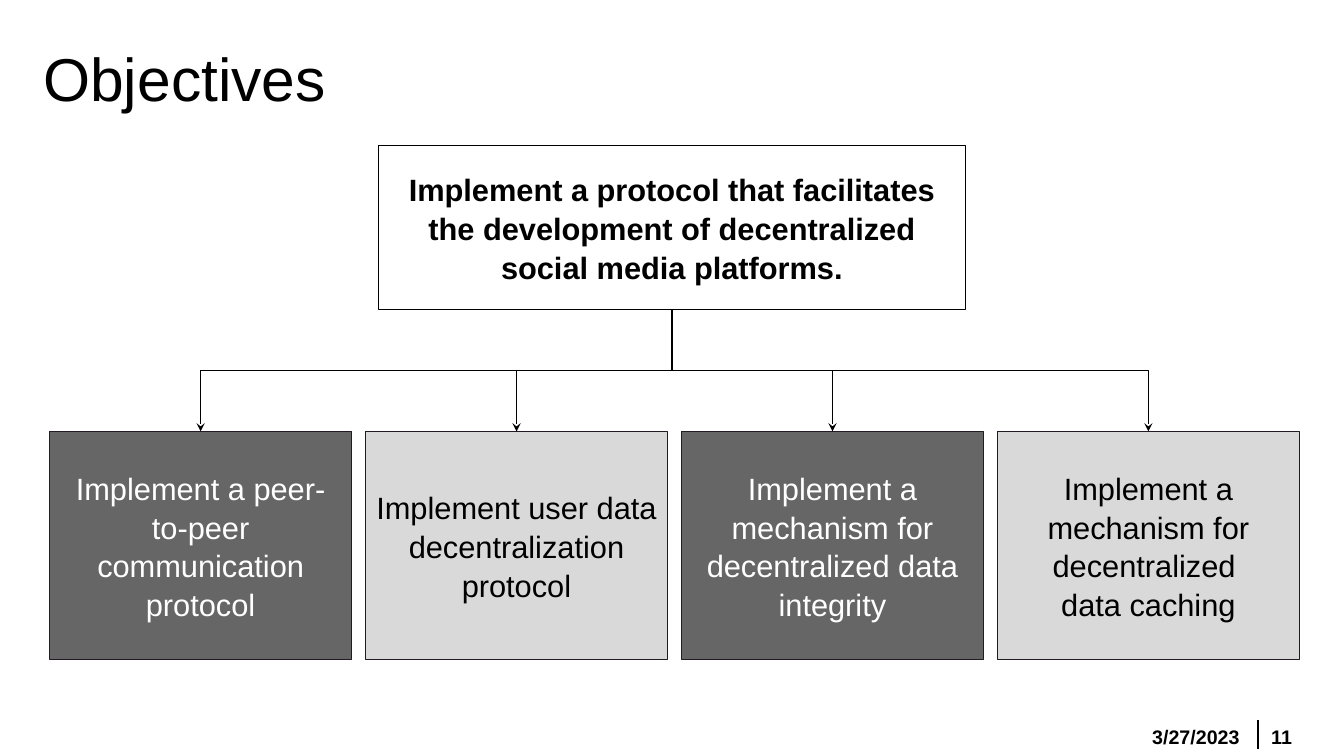
from lxml import etree
from pptx import Presentation
from pptx.dml.color import RGBColor
from pptx.enum.shapes import MSO_CONNECTOR, MSO_SHAPE
from pptx.enum.text import MSO_ANCHOR, MSO_AUTO_SIZE, PP_ALIGN
from pptx.oxml.ns import qn
from pptx.util import Inches, Pt

BLACK = RGBColor(0x00, 0x00, 0x00)
WHITE = RGBColor(0xFF, 0xFF, 0xFF)
DARK_GREY = RGBColor(0x66, 0x66, 0x66)
LIGHT_GREY = RGBColor(0xD9, 0xD9, 0xD9)
OUTLINE = RGBColor(0x23, 0x1B, 0x23)

# Grid of the four objective boxes, in inches
GRID_LEFT, GRID_TOP = 0.49, 4.28
COLUMN_WIDTH, ROW_HEIGHT = 3, 2.26
COLUMN_STEP = (9.89 - GRID_LEFT) / 3

OBJECTIVES = [
    ["Implement a peer-to-peer", "communication protocol"],
    ["Implement user data", "decentralization protocol"],
    ["Implement a mechanism for", "decentralized data integrity"],
    ["Implement a mechanism for", "decentralized ", "data caching"],
]


def write_text(shape, lines, size=22, color=BLACK, bold=False, font="Arial",
               align=PP_ALIGN.LEFT, inset=0.05, spacing=1.0):
    frame = shape.text_frame
    frame.word_wrap = True
    frame.auto_size = MSO_AUTO_SIZE.NONE
    frame.vertical_anchor = MSO_ANCHOR.MIDDLE
    frame.margin_left = frame.margin_right = Inches(0.1)
    frame.margin_top = frame.margin_bottom = Inches(inset)
    for index, line in enumerate(lines):
        paragraph = frame.add_paragraph() if index else frame.paragraphs[0]
        paragraph.alignment = align
        paragraph.line_spacing = spacing
        run = paragraph.add_run()
        run.text = line
        run.font.name = font
        run.font.size = Pt(size)
        run.font.bold = bold
        run.font.color.rgb = color


class ObjectivesSlide:
    """Holds the slide and draws each kind of element in one style."""

    def __init__(self, presentation):
        self.slide = presentation.slides.add_slide(presentation.slide_layouts[5])
        self.shapes = self.slide.shapes

    def title(self, text, left, top, width, height):
        title = self.shapes.title
        title.left, title.top = Inches(left), Inches(top)
        title.width, title.height = Inches(width), Inches(height)
        write_text(title, [text], size=43.2)

    def label(self, text, left, top, width, height):
        box = self.shapes.add_textbox(
            Inches(left), Inches(top), Inches(width), Inches(height))
        write_text(box, [text], size=14, bold=True)

    def box(self, lines, left, top, width, height, fill, line, **text_format):
        box = self.shapes.add_shape(
            MSO_SHAPE.RECTANGLE,
            Inches(left), Inches(top), Inches(width), Inches(height))
        box.shadow.inherit = False
        box.fill.solid()
        box.fill.fore_color.rgb = fill
        box.line.color.rgb = line
        box.line.width = Pt(0.75)
        write_text(box, lines, align=PP_ALIGN.CENTER, inset=0.1, spacing=1.05,
                   **text_format)
        return box

    def connector(self, kind, start, end, width):
        connector = self.shapes.add_connector(
            kind, *(Inches(value) for value in (*start, *end)))
        connector.line.color.rgb = BLACK
        connector.line.width = Pt(width)
        etree.SubElement(connector._element.spPr, qn("a:effectLst"))
        return connector

    def branch(self, parent, child):
        """Elbow arrow from the bottom of parent to the top of child."""
        arrow = self.connector(MSO_CONNECTOR.ELBOW, (0, 0), (1, 1), 0.75)
        arrow.begin_connect(parent, 2)
        arrow.end_connect(child, 0)
        start_x = parent.left + parent.width // 2
        start_y = parent.top + parent.height
        end_x = child.left + child.width // 2
        drop, run = child.top - start_y, abs(end_x - start_x)

        # The elbow leaves downwards, so its frame is turned a quarter
        arrow.left = (start_x + end_x - drop) // 2
        arrow.top = (start_y + child.top - run) // 2
        arrow.width, arrow.height = drop, run
        transform = arrow._element.spPr.find(qn("a:xfrm"))
        goes_right = end_x > start_x
        transform.set("rot", str((270 if goes_right else 90) * 60000))
        transform.set("flipH", "1" if goes_right else "0")
        transform.set("flipV", "0")
        line = arrow.line._get_or_add_ln()
        etree.SubElement(line, qn("a:tailEnd"), type="stealth")


def main():
    presentation = Presentation()
    presentation.slide_width = Inches(13.33)
    presentation.slide_height = Inches(7.5)
    page = ObjectivesSlide(presentation)

    # Title
    page.title("Objectives", 0.33, 0.33, 11.74, 0.87)

    # Footer: date, divider, page number
    page.label("3/27/2023", 11.33, 7.18, 1.07, 0.25)
    page.connector(MSO_CONNECTOR.STRAIGHT, (12.48, 7.14), (12.48, 7.43), 1.5)
    page.label("11", 12.51, 7.18, 0.74, 0.25)

    # Main goal
    goal = page.box(
        ["Implement a protocol that facilitates the development of "
         "decentralized social media platforms."],
        3.75, 1.44, 5.83, 1.63, WHITE, BLACK, bold=True)

    # Objectives, alternating dark and light
    for column, lines in enumerate(OBJECTIVES):
        fill, color = ((DARK_GREY, WHITE), (LIGHT_GREY, BLACK))[column % 2]
        objective = page.box(
            lines, GRID_LEFT + column * COLUMN_STEP, GRID_TOP,
            COLUMN_WIDTH, ROW_HEIGHT, fill, OUTLINE, color=color)
        page.branch(goal, objective)

    presentation.save("out.pptx")


if __name__ == "__main__":
    main()
